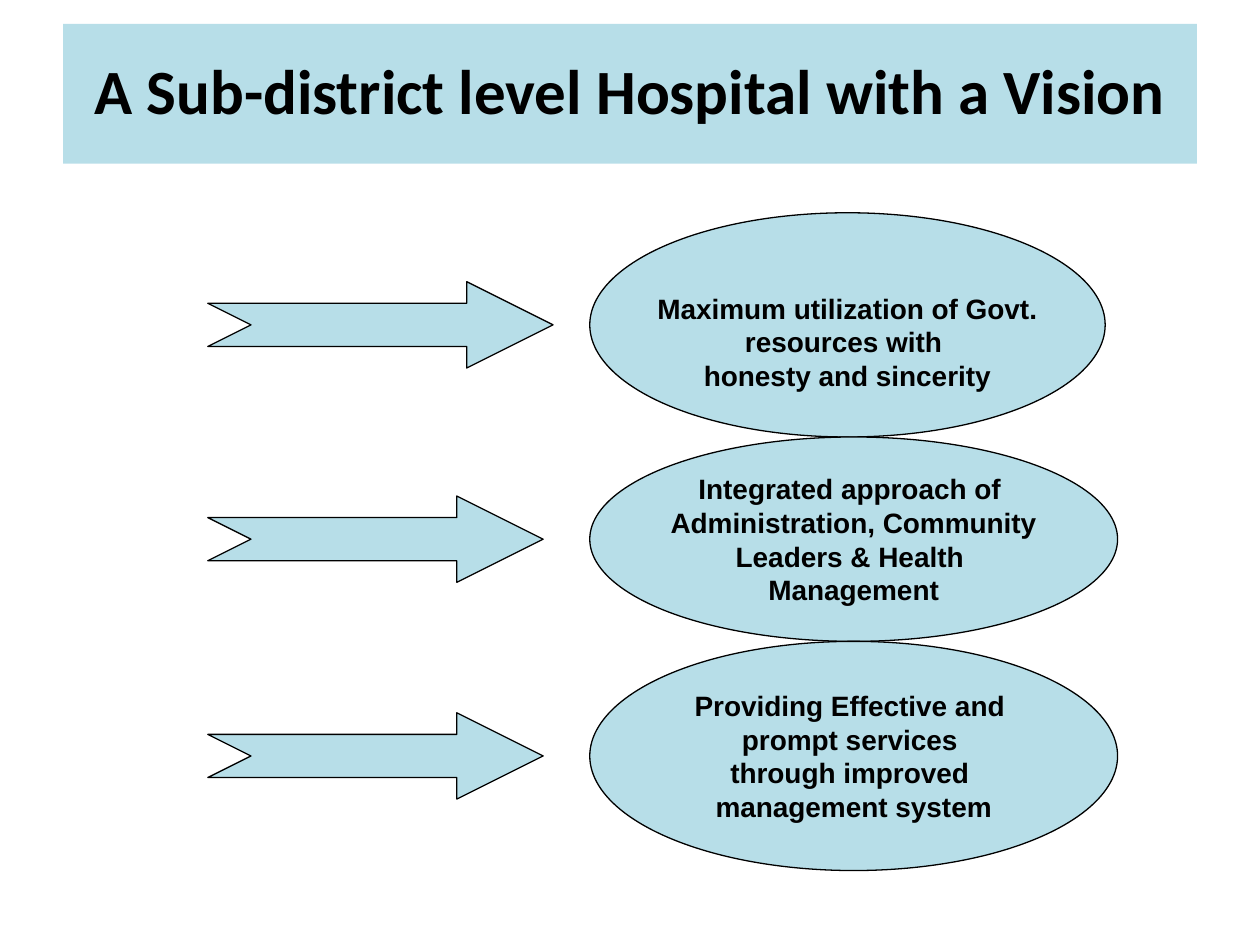
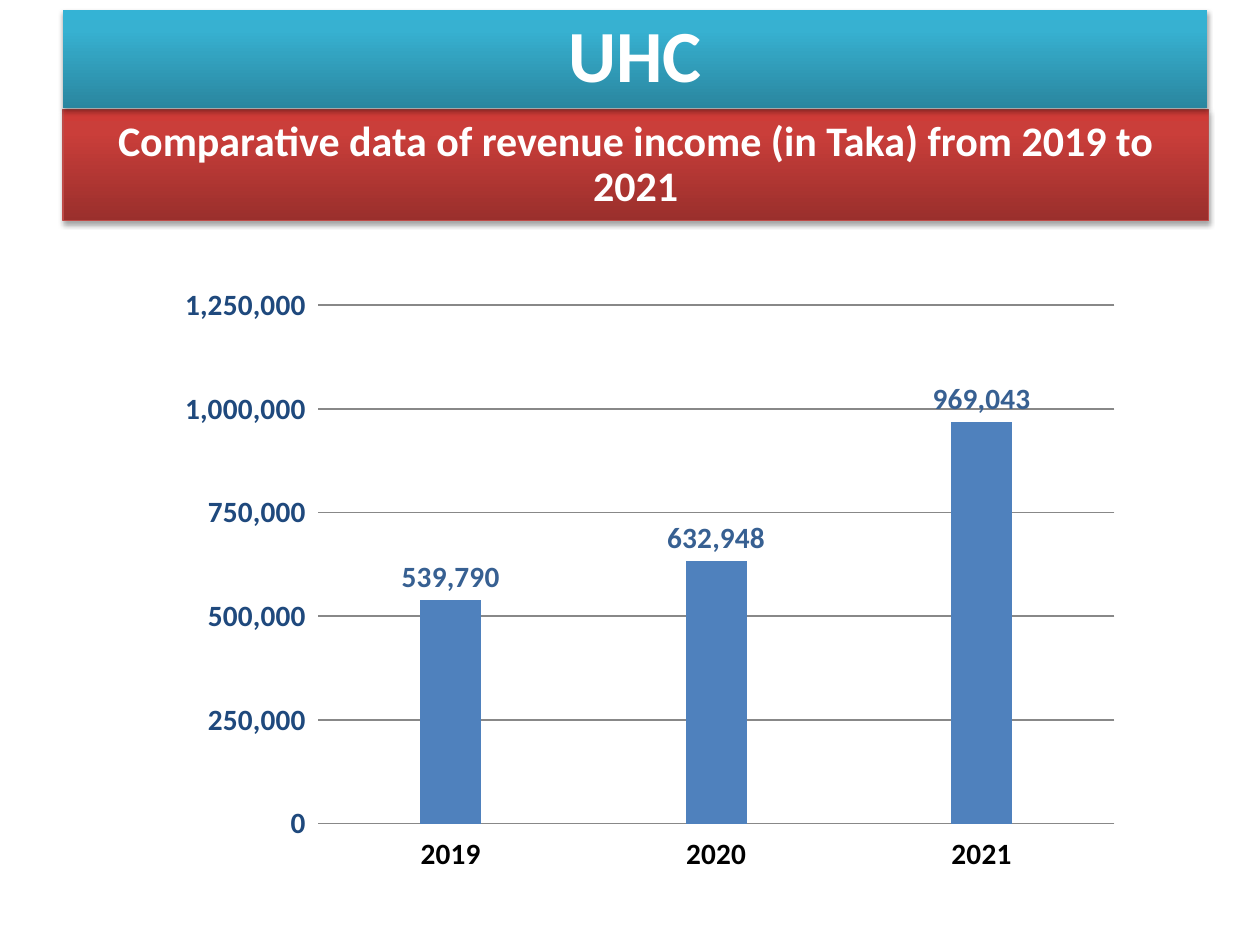
from dataclasses import dataclass

from lxml import etree
from pptx import Presentation
from pptx import util as u
from pptx.chart import data
from pptx.dml.color import RGBColor
from pptx.enum import chart as ch, shapes, text
from pptx.oxml import parse_xml
from pptx.oxml.ns import nsdecls, qn

Cm, Pt = u.Cm, u.Pt

# Shared colours and fonts
BLACK = RGBColor(0x00, 0x00, 0x00)
WHITE = RGBColor(0xFF, 0xFF, 0xFF)
PALE = RGBColor(0xB7, 0xDE, 0xE8)
BLUE = RGBColor(0x4F, 0x81, 0xBD)
NAVY = RGBColor(0x1F, 0x49, 0x7D)
STEEL = RGBColor(0x37, 0x60, 0x92)
GREY = RGBColor(0x88, 0x88, 0x88)
BRICK = RGBColor(0xBE, 0x4B, 0x48)
REDS = ("9A2F2C", "CA3E3A", "CE3B37")
TEALS = ("2A869F", "37B1D1", "34B3D5")
HEAD, BODY = "Calibri", "Arial"

LEFT = 1.27  # left edge of every title band


@dataclass
class Goal:
    lines: tuple[str, ...]
    width: float
    height: float
    arrow: float
    drop: float = 0  # extra inset above the words


GOALS = (
    Goal(("Maximum utilization of Govt.", "resources with ", "honesty and sincerity"),
         10.39, 4.52, 6.96, 0.68),
    Goal(("Integrated approach of ", "Administration, Community",
          "Leaders & Health ", "Management"), 10.64, 4.12, 6.76),
    Goal(("Providing Effective and ", "prompt services ", "through improved ",
          "management system"), 10.64, 4.62, 6.76),
)
INCOME = {"2019": 539790, "2020": 632948, "2021": 969043}


def style(font, size: float, color: RGBColor, name: str = HEAD) -> None:
    font.name, font.size, font.bold = name, Pt(size), True
    font.color.rgb = color


def write(shape, lines, size: float, color: RGBColor, name: str = HEAD,
          space: float | None = None, wrap: bool = True) -> None:
    frame = shape.text_frame
    frame.word_wrap = wrap
    frame.auto_size = text.MSO_AUTO_SIZE.NONE
    frame.vertical_anchor = text.MSO_ANCHOR.MIDDLE
    for i, line in enumerate(lines):
        para = frame.add_paragraph() if i else frame.paragraphs[0]
        para.alignment = text.PP_ALIGN.CENTER
        para.line_spacing = space
        run = para.add_run()
        run.text = line
        style(run.font, size, color, name)


def place(shape, left: float, top: float, width: float, height: float) -> None:
    shape.left, shape.top = Cm(left), Cm(top)
    shape.width, shape.height = Cm(width), Cm(height)


def draw(slide, kind, left: float, top: float, width: float, height: float):
    shape = slide.shapes.add_shape(kind, Cm(left), Cm(top), Cm(width), Cm(height))
    shape.shadow.inherit = False
    return shape


def tint(shape) -> None:
    shape.fill.solid()
    shape.fill.fore_color.rgb = PALE
    shape.line.color.rgb = BLACK
    shape.line.width = Pt(0.75)


def glow(shape, hues: tuple[str, ...]) -> None:
    """Gradient running up the band, and a soft shadow under it."""
    shape.fill.gradient()
    shape.fill.gradient_angle = 90
    stops = shape._element.spPr.find(qn("a:gradFill")).find(qn("a:gsLst"))
    for stop in list(stops):
        stops.remove(stop)
    for pos, hue in zip((0, 80, 100), hues):
        stop = etree.SubElement(stops, qn("a:gs"), pos=str(pos * 1000))
        etree.SubElement(stop, qn("a:srgbClr"), val=hue)
    shape.shadow.inherit = False
    shape._element.spPr.find(qn("a:effectLst")).append(parse_xml(
        f'<a:outerShdw {nsdecls("a")} blurRad="38100" dist="22860" dir="5400000" '
        'rotWithShape="0"><a:srgbClr val="000000"><a:alpha val="35000"/>'
        '</a:srgbClr></a:outerShdw>'))


def vision(slide) -> None:
    # Title band
    title = slide.shapes.title
    place(title, LEFT, 0.48, 22.86, 2.82)
    title.fill.solid()
    title.fill.fore_color.rgb = PALE
    write(title, ["A Sub-district level Hospital with a Vision"], 36, BLACK, space=0.9)

    # Stacked goals, each with an arrow at its middle
    top, tall = 4.29, 1.74
    for goal in GOALS:
        oval = draw(slide, shapes.MSO_SHAPE.OVAL, 11.89, top, goal.width, goal.height)
        tint(oval)
        write(oval, goal.lines, 16, BLACK, BODY, wrap=False)
        frame = oval.text_frame
        frame.margin_top, frame.margin_bottom = Cm(0.13 + goal.drop), Cm(0.13)
        arrow = draw(slide, shapes.MSO_SHAPE.NOTCHED_RIGHT_ARROW, 4.19,
                     top + (goal.height - tall) / 2, goal.arrow, tall)
        arrow.adjustments[0], arrow.adjustments[1] = 0.5, 1
        tint(arrow)
        top += goal.height


def income(slide) -> None:
    # Title bands
    title = slide.shapes.title
    place(title, LEFT, 2.21, 23.09, 2.24)
    title.line.color.rgb = BRICK
    title.line.width = Pt(0.75)
    glow(title, REDS)
    write(title, ["Comparative data of revenue income (in Taka) from 2019 to 2021"],
          24, WHITE, space=0.9)
    band = draw(slide, shapes.MSO_SHAPE.RECTANGLE, LEFT, 0.2, 23.06, 1.98)
    band.line.fill.background()
    glow(band, TEALS)
    write(band, ["UHC"], 42, WHITE, space=0.9)

    # Column chart
    facts = data.CategoryChartData(number_format="#,##0")
    facts.categories = list(INCOME)
    facts.add_series("Series 1", list(INCOME.values()))
    chart = slide.shapes.add_chart(ch.XL_CHART_TYPE.COLUMN_CLUSTERED, Cm(3.73), Cm(5.79),
                                   Cm(18.75), Cm(11.79), facts).chart
    chart.has_legend = chart.has_title = False
    chart.font.name, chart.font.size = HEAD, Pt(10)
    chart.font.color.rgb = BLACK
    plot = chart.plots[0]
    plot.gap_width, plot.vary_by_categories = 335, False
    bars = plot.series[0].format.fill
    bars.solid()
    bars.fore_color.rgb = BLUE
    plot.has_data_labels = True
    labels = plot.data_labels
    labels.show_value = True
    labels.number_format, labels.number_format_is_linked = "#,##0", False
    labels.position = ch.XL_LABEL_POSITION.OUTSIDE_END
    style(labels.font, 17, STEEL)

    # Axes
    for axis, color in ((chart.category_axis, BLACK), (chart.value_axis, NAVY)):
        axis.format.line.fill.background()
        style(axis.tick_labels.font, 17, color)
    chart.category_axis.tick_label_position = ch.XL_TICK_LABEL_POSITION.LOW
    scale = chart.value_axis
    scale.minimum_scale, scale.maximum_scale, scale.major_unit = 0, 1250000, 250000
    scale.tick_labels.number_format = "#,##0"
    scale.tick_labels.number_format_is_linked = False
    grid = scale.major_gridlines.format.line
    grid.color.rgb, grid.width = GREY, Pt(1)

    # Plot area
    area = chart._chartSpace.chart.plotArea
    for old in area.findall(qn("c:layout")):
        area.remove(old)
    layout = etree.Element(qn("c:layout"))
    manual = etree.SubElement(layout, qn("c:manualLayout"))
    for tag, val in (("layoutTarget", "inner"), ("xMode", "edge"), ("yMode", "edge"),
                     ("x", 0.13), ("y", 0.03), ("w", 0.87), ("h", 0.9)):
        etree.SubElement(manual, qn(f"c:{tag}"), val=str(val))
    area.insert(0, layout)


def main() -> None:
    deck = Presentation()
    deck.slide_width, deck.slide_height = Cm(25.4), Cm(19.05)
    for build in (vision, income):
        build(deck.slides.add_slide(deck.slide_layouts[5]))
    deck.save("out.pptx")


if __name__ == "__main__":
    main()
